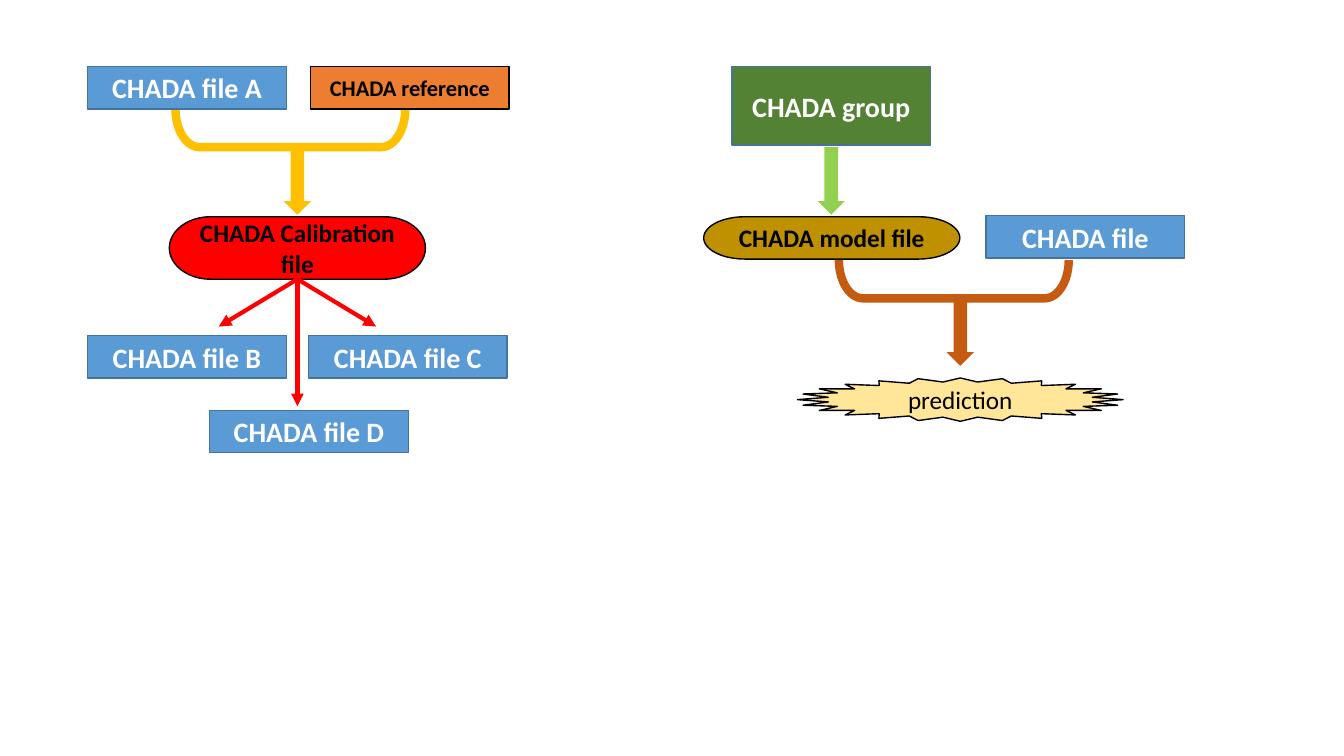
from lxml.etree import SubElement as Sub
from pptx import Presentation
from pptx.dml.color import RGBColor as RGB
from pptx.enum.shapes import MSO_CONNECTOR as Conn, MSO_SHAPE as Geo
from pptx.enum.text import MSO_ANCHOR as Anchor, PP_ALIGN as Align
from pptx.oxml.ns import qn
from pptx.util import Inches, Pt

HUES = {"blue": "5B9BD5", "edge": "43739E", "orange": "ED7D31", "gold": "FFC000",
        "red": "FF0000", "green": "548235", "lime": "92D050", "ochre": "BF9000",
        "rust": "C55A11", "cream": "FFE699", "black": "000000", "white": "FFFFFF"}

COLS = {"a": 1.855, "b": 4.045, "ref": 4.065, "cal": 2.95, "d": 3.065,
        "group": 8.245, "model": 8.25, "file": 10.765, "out": 9.525}
ROWS = {"top": 0.66, "mid": 2.15, "file": 2.14, "low": 3.33, "out": 3.75, "end": 4.07}

KINDS = {"box": (Geo.RECTANGLE, 1.97), "pill": (Geo.FLOWCHART_TERMINATOR, 2.54),
         "star": (Geo.STAR_24_POINT, 3.23)}

NODES = [
    ("CHADA file A", "box", "a", "top", 0.42, "blue", "edge", "white", 20),
    ("CHADA reference", "box", "ref", "top", 0.42, "orange", "black", "black", 16),
    ("CHADA Calibration file", "pill", "cal", "mid", 0.62, "red", "black", "black", 18),
    ("CHADA file B", "box", "a", "low", 0.42, "blue", "edge", "white", 20),
    ("CHADA file C", "box", "b", "low", 0.42, "blue", "edge", "white", 20),
    ("CHADA file D", "box", "d", "end", 0.42, "blue", "edge", "white", 20),
    ("CHADA group", "box", "group", "top", 0.78, "green", "edge", "white", 20),
    ("CHADA model file", "pill", "model", "mid", 0.42, "ochre", "black", "black", 18),
    ("CHADA file", "box", "file", "file", 0.42, "blue", "edge", "white", 20),
    ("prediction", "star", "out", "out", 0.43, "cream", "black", "black", 18),
]
ARROWS = [("cal", 1.46, "gold"), ("group", 1.46, "lime"), ("out", 2.96, "rust")]
JOINS = [(2.88, 1.27, "gold"), (9.46, 2.77, "rust")]
RAYS = [(-0.78, 3.24), (0, 4.03), (0.78, 3.24)]

deck = Presentation()
deck.slide_width, deck.slide_height = Inches(13.33), Inches(7.5)
slide = deck.slides.add_slide(deck.slide_layouts[6])


def hue(name):
    return RGB.from_string(HUES[name])


def put(geo, mid, top, wide, high, fill=None, edge=None, thick=1):
    shape = slide.shapes.add_shape(geo, Inches(mid - wide / 2), Inches(top),
                                   Inches(wide), Inches(high))
    shape.shadow.inherit = False
    if fill:
        shape.fill.solid()
        shape.fill.fore_color.rgb = hue(fill)
    else:
        shape.fill.background()
    if edge:
        shape.line.color.rgb = hue(edge)
        shape.line.width = Pt(thick)
    else:
        shape.line.fill.background()
    return shape


def label(shape, text, ink, size, bold):
    frame = shape.text_frame
    frame.word_wrap = True
    frame.vertical_anchor = Anchor.MIDDLE
    para = frame.paragraphs[0]
    para.alignment = Align.CENTER
    run = para.add_run()
    run.text = text
    font = run.font
    font.name, font.size, font.bold = "Calibri", Pt(size), bold
    font.color.rgb = hue(ink)


def ray(hub, shift, end):
    x = COLS["cal"]
    line = slide.shapes.add_connector(Conn.STRAIGHT, Inches(x), Inches(2.77),
                                      Inches(x + shift), Inches(end))
    line.begin_connect(hub, 2)
    line.line.color.rgb = hue("red")
    line.line.width = Pt(3)
    Sub(line.line._get_or_add_ln(), qn("a:tailEnd"), type="triangle")
    Sub(line._element.spPr, qn("a:effectLst"))


for mid, level, color in JOINS:
    wide, high = 0.38, 2.28
    join = put(Geo.RIGHT_BRACKET, mid, level - high / 2, wide, high, edge=color, thick=6)
    join.rotation = 90
    join.adjustments[0] = 0.629

for col, top, color in ARROWS:
    put(Geo.DOWN_ARROW, COLS[col], top, 0.27, 0.67, color)

shapes = {}
for text, kind, col, row, high, fill, edge, ink, size in NODES:
    geo, wide = KINDS[kind]
    node = put(geo, COLS[col], ROWS[row], wide, high, fill, edge)
    if kind == "star":
        node.adjustments[0] = 0.409
    label(node, text, ink, size, kind != "star")
    shapes[text] = node

for shift, end in RAYS:
    ray(shapes["CHADA Calibration file"], shift, end)

deck.save("out.pptx")
